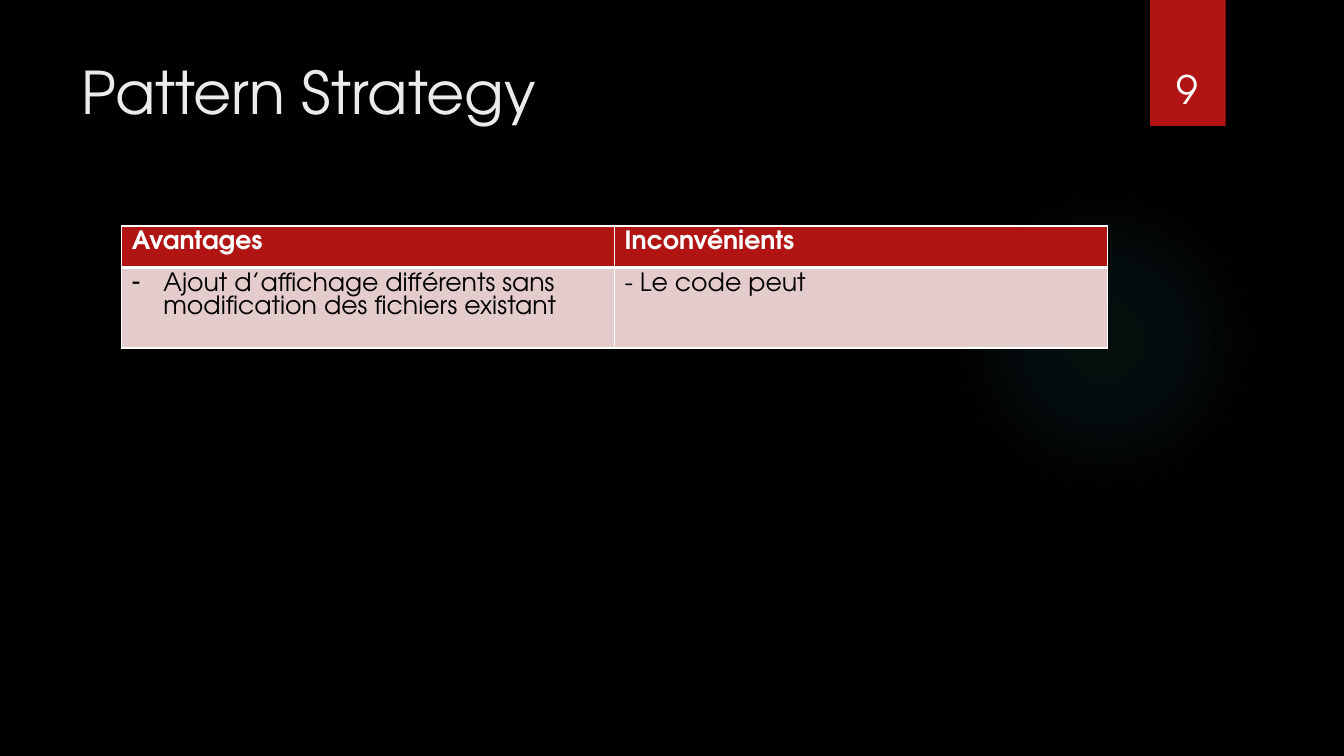
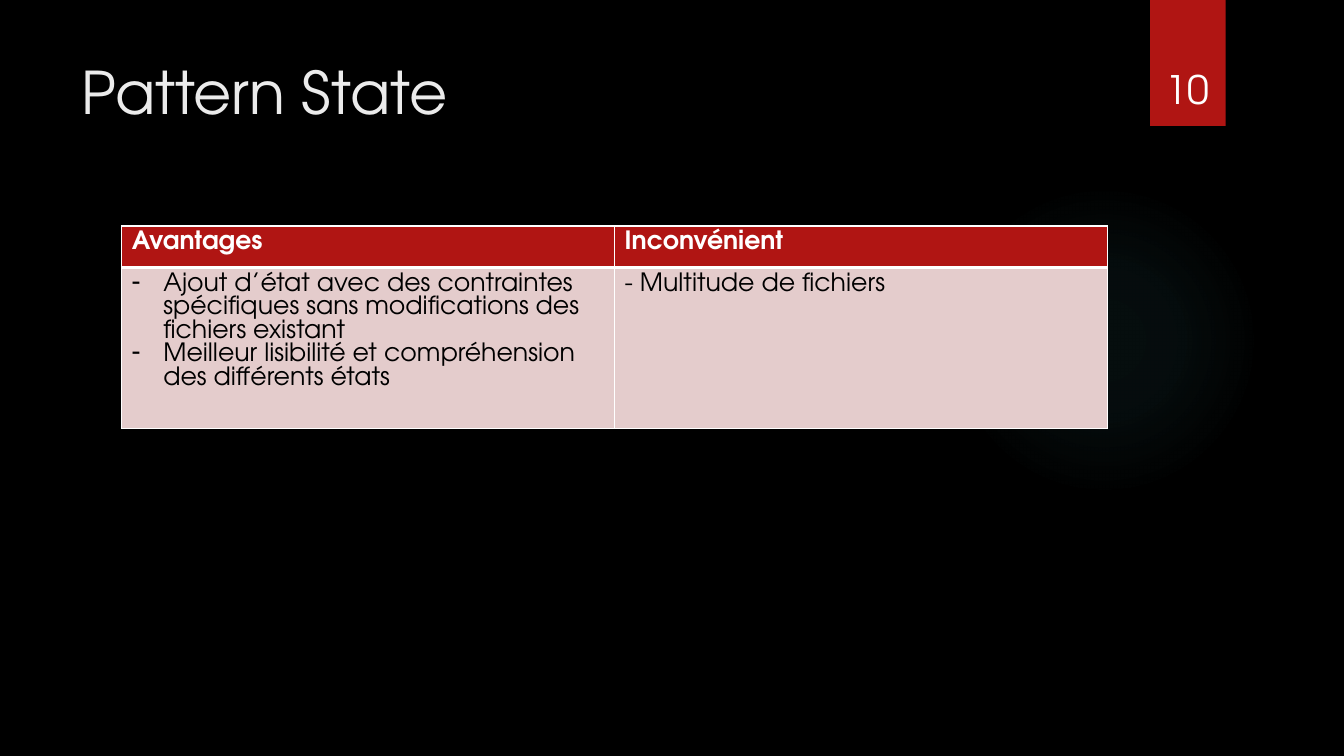
from dataclasses import dataclass

from lxml import etree
from pptx import Presentation
from pptx.dml.color import RGBColor
from pptx.enum.shapes import MSO_SHAPE
from pptx.enum.text import MSO_ANCHOR, PP_ALIGN
from pptx.oxml import parse_xml
from pptx.util import Pt

ELLIPSE, RECTANGLE = MSO_SHAPE.OVAL, MSO_SHAPE.RECTANGLE
TOP, BOTTOM = MSO_ANCHOR.TOP, MSO_ANCHOR.BOTTOM
LEFT, CENTER = PP_ALIGN.LEFT, PP_ALIGN.CENTER
DRAWING = "http://schemas.openxmlformats.org/drawingml/2006/main"


@dataclass(frozen=True)
class Theme:
    font: str = "TeX Gyre Adventor"
    background: str = "000000"
    glow: str = "50B9C1"
    accent: str = "B01513"
    title: str = "EBEBEB"
    light: str = "FFFFFF"
    dark: str = "000000"
    body: str = "E4CCCC"
    title_size: int = 42
    number_size: int = 28
    table_size: int = 18


THEME = Theme()
GLOW_STOPS = [(0, 7), (36, 6), (69, 0)]  # position and opacity, percent
COLUMN_WIDTH, HEADER_HEIGHT = 352, 29.5
BULLET_INDENT = 22.5

# Title, page number, headings, advantages, drawback, body row height
PATTERNS = [
    ("Pattern Strategy", 9, ("Avantages", "Inconvénients"),
     ["Ajout d’affichage différents sans modification des fichiers existant"],
     "- Le code peut", 57.6),
    ("Pattern State", 10, ("Avantages", "Inconvénient"),
     ["Ajout d’état avec des contraintes spécifiques sans modifications des "
      "fichiers existant",
      "Meilleur lisibilité et compréhension des différents états"],
     "- Multitude de fichiers", 91),
]


def write(frame, lines, size, color, bold=False, align=LEFT, bulleted=False):
    """Fill a text frame with one paragraph per line."""
    for index, line in enumerate(lines):
        paragraph = frame.add_paragraph() if index else frame.paragraphs[0]
        paragraph.text = line
        paragraph.alignment = align
        font = paragraph.font
        font.name, font.size, font.bold = THEME.font, Pt(size), bold
        font.color.rgb = RGBColor.from_string(color)
        if bulleted:
            properties = paragraph._p.get_or_add_pPr()
            properties.set("marL", str(Pt(BULLET_INDENT)))
            properties.set("indent", str(-Pt(BULLET_INDENT)))
            bullet = etree.Element(f"{{{DRAWING}}}buChar", char="-")
            properties.insert(0, bullet)


def style_cell(cell, fill, top, bottom):
    """Give a cell white borders and a plain fill."""
    properties = cell._tc.get_or_add_tcPr()
    for side, width in (("L", 1), ("R", 1), ("T", top), ("B", bottom)):
        properties.append(parse_xml(
            f'<a:ln{side} xmlns:a="{DRAWING}" w="{Pt(width)}"><a:solidFill>'
            f'<a:srgbClr val="{THEME.light}"/></a:solidFill></a:ln{side}>'))
    cell.fill.solid()
    cell.fill.fore_color.rgb = RGBColor.from_string(fill)


prs = Presentation()
prs.slide_width, prs.slide_height = Pt(960), Pt(540)
blank = prs.slide_layouts[6]

# Shared background
backdrop = prs.slide_master.background.fill
backdrop.solid()
backdrop.fore_color.rgb = RGBColor.from_string(THEME.background)

for title, number, headings, advantages, drawback, body_height in PATTERNS:
    slide = prs.slides.add_slide(blank)
    shapes = slide.shapes

    # Soft round glow
    glow = shapes.add_shape(ELLIPSE, Pt(677.5), Pt(132), Pt(222), Pt(222))
    glow.shadow.inherit = False
    glow.line.fill.background()
    stops = "".join(
        f'<a:gs pos="{position * 1000}"><a:srgbClr val="{THEME.glow}">'
        f'<a:alpha val="{opacity * 1000}"/></a:srgbClr></a:gs>'
        for position, opacity in GLOW_STOPS)
    glow._element.spPr.find(f"{{{DRAWING}}}prstGeom").addnext(parse_xml(
        f'<a:gradFill xmlns:a="{DRAWING}"><a:gsLst>{stops}</a:gsLst>'
        '<a:path path="circle"><a:fillToRect l="50000" t="50000" r="50000" '
        'b="50000"/></a:path></a:gradFill>'))

    # Page number on its ribbon
    ribbon = shapes.add_shape(RECTANGLE, Pt(821.5), 0, Pt(54), Pt(90))
    ribbon.shadow.inherit = False
    ribbon.line.fill.background()
    ribbon.fill.solid()
    ribbon.fill.fore_color.rgb = RGBColor.from_string(THEME.accent)
    page = shapes.add_textbox(Pt(815), Pt(23), Pt(66), Pt(60.5)).text_frame
    page.word_wrap, page.vertical_anchor = True, BOTTOM
    write(page, [str(number)], THEME.number_size, THEME.light, align=CENTER)

    # Title
    heading = shapes.add_textbox(Pt(51), Pt(36), Pt(741), Pt(110)).text_frame
    heading.word_wrap, heading.vertical_anchor = True, TOP
    write(heading, [title], THEME.title_size, THEME.title)

    # Advantages and drawbacks
    comparison = shapes.add_table(
        2, 2, Pt(87), Pt(161.5), Pt(2 * COLUMN_WIDTH),
        Pt(HEADER_HEIGHT + body_height)).table
    comparison.horz_banding = False
    comparison.rows[0].height = Pt(HEADER_HEIGHT)
    comparison.rows[1].height = Pt(body_height)
    for column, points in enumerate((advantages, [drawback])):
        comparison.columns[column].width = Pt(COLUMN_WIDTH)
        header, body = comparison.cell(0, column), comparison.cell(1, column)
        style_cell(header, THEME.accent, top=1, bottom=3)
        style_cell(body, THEME.body, top=3, bottom=1)
        write(header.text_frame, [headings[column]], THEME.table_size,
              THEME.light, bold=True)
        write(body.text_frame, points, THEME.table_size, THEME.dark,
              bulleted=column == 0)

prs.save("out.pptx")
